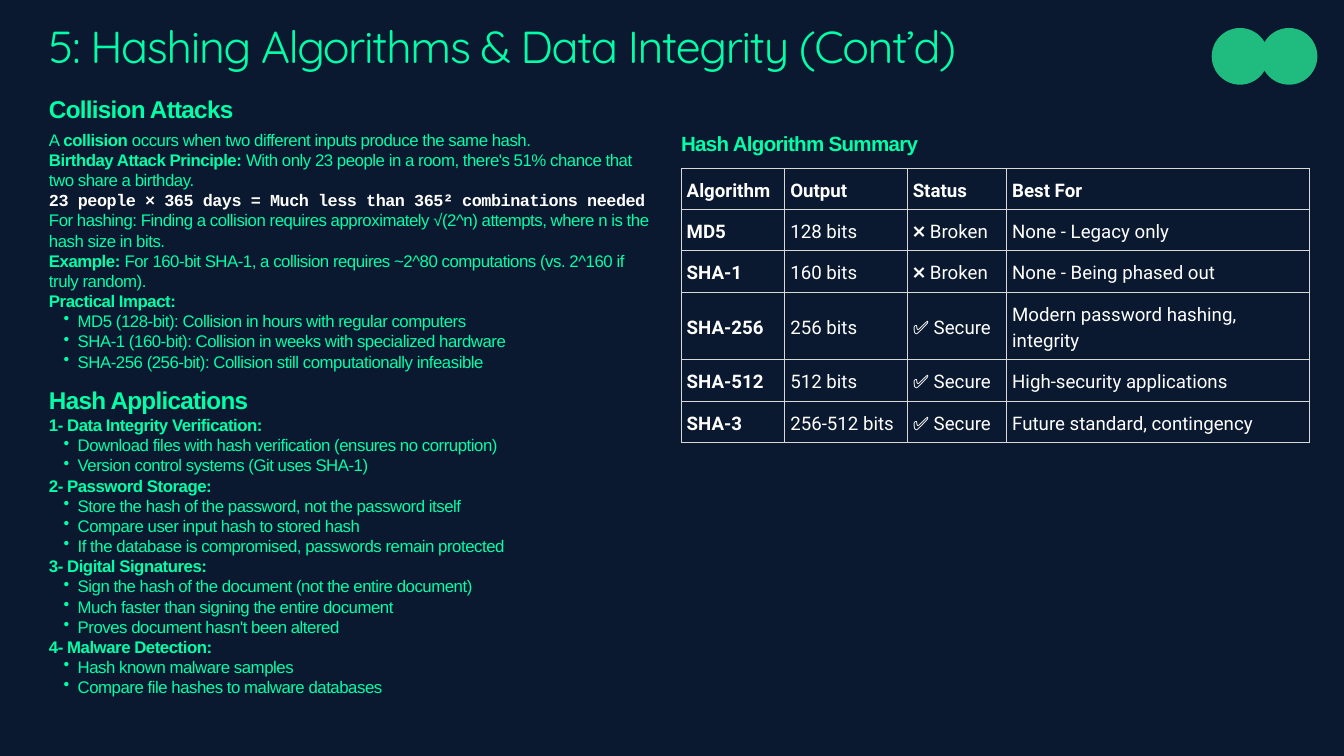
"""Build the slide on hash collisions, hash applications and hash algorithms."""
from dataclasses import dataclass, replace

from lxml.etree import SubElement
from pptx import Presentation
from pptx.dml.color import RGBColor
from pptx.enum.shapes import MSO_SHAPE as Shape
from pptx.enum.text import MSO_ANCHOR as Anchor, MSO_AUTO_SIZE as AutoSize, PP_ALIGN as Align
from pptx.oxml.ns import qn
from pptx.util import Pt

TITLE = [("title", "5: Hashing Algorithms & Data Integrity (Cont’d)")]
COLLISION_HEADING = [("heading", "Collision Attacks")]
COLLISIONS = [
    ("body", "A **collision** occurs when two different inputs produce the same hash."),
    ("body", "**Birthday Attack Principle:** With only 23 people in a room, "
             "there's 51% chance that two share a birthday."),
    ("formula", "23 people × 365 days = Much less than 365² combinations needed"),
    ("body", "For hashing: Finding a collision requires approximately √(2^n) attempts, "
             "where n is the hash size in bits."),
    ("body", "**Example:** For 160-bit SHA-1, a collision requires ~2^80 computations "
             "(vs. 2^160 if truly random)."),
    ("body", "**Practical Impact:**"),
    ("bullet", "MD5 (128-bit): Collision in hours with regular computers"),
    ("bullet", "SHA-1 (160-bit): Collision in weeks with specialized hardware"),
    ("bullet", "SHA-256 (256-bit): Collision still computationally infeasible"),
]
APPLICATIONS = {
    "Data Integrity Verification": [
        "Download files with hash verification (ensures no corruption)",
        "Version control systems (Git uses SHA-1)",
    ],
    "Password Storage": [
        "Store the hash of the password, not the password itself",
        "Compare user input hash to stored hash",
        "If the database is compromised, passwords remain protected",
    ],
    "Digital Signatures": [
        "Sign the hash of the document (not the entire document)",
        "Much faster than signing the entire document",
        "Proves document hasn't been altered",
    ],
    "Malware Detection": [
        "Hash known malware samples",
        "Compare file hashes to malware databases",
    ],
}
SUMMARY_HEADING = [("subheading", "Hash Algorithm Summary")]
SUMMARY = [
    ("Algorithm", "Output", "Status", "Best For"),
    ("MD5", "128 bits", "❌ Broken", "None - Legacy only"),
    ("SHA-1", "160 bits", "❌ Broken", "None - Being phased out"),
    ("SHA-256", "256 bits", "✅ Secure", "Modern password hashing, integrity"),
    ("SHA-512", "512 bits", "✅ Secure", "High-security applications"),
    ("SHA-3", "256-512 bits", "✅ Secure", "Future standard, contingency"),
]


@dataclass(frozen=True)
class Style:
    name: str
    size: float
    line: float
    color: str
    tracking: int = 0
    bold: bool = False
    bullet: bool = False
    align: Align = Align.LEFT


class Theme:
    navy, mint, green, white, grid = "0A192F", "00FFA8", "1FBB7F", "FFFFFF", "D9D9D9"
    heading = Style("Arial", 26, 39, mint, -80, bold=True)
    body = Style("Arial", 18, 21.6, mint, -50)
    cell = Style("Roboto", 20, 28, white)
    styles = {
        "title": Style("Quicksand", 48, 48, mint, -140, align=Align.JUSTIFY),
        "heading": heading,
        "tight heading": replace(heading, line=31.2),
        "subheading": Style("Arial", 22, 33, mint, -70, bold=True),
        "body": body,
        "bullet": replace(body, bullet=True),
        "formula": replace(body, name="Courier New", color=white, bold=True),
        "cell": cell,
        "cell label": replace(cell, bold=True),
    }


PX = 9525
SLIDE_W, SLIDE_H = 1920, 1080
LEFT, RIGHT = 70, 973
BULLET_LEFT, BULLET_HANG = 41, 20
CIRCLE_LEFT, CIRCLE_TOP, CIRCLE_SIZE, CIRCLE_STEP = 1731, 40, 81, 70
TABLE_TOP, CELL_INSET, GRID_PT = 240, 8, 0.75
COLUMNS = (148, 175, 142, 432)
ROWS = (59, 59, 59, 97, 59, 59)
SIDES = ("margin_left", "margin_top", "margin_right", "margin_bottom")


def px(*lengths):
    return [length * PX for length in lengths]


def apply(target, values):
    for key, value in values.items():
        setattr(target, key, value)


def write(frame, paragraphs):
    for index, (style_name, text) in enumerate(paragraphs):
        style = Theme.styles[style_name]
        paragraph = frame.add_paragraph() if index else frame.paragraphs[0]
        apply(paragraph, {"line_spacing": Pt(style.line), "alignment": style.align})
        if style.bullet:
            paragraph.level = 1
            properties = paragraph._p.get_or_add_pPr()
            properties.set("marL", str(BULLET_LEFT * PX))
            properties.set("indent", str(-BULLET_HANG * PX))
            SubElement(properties, qn("a:buChar"), char="•")
        for part, words in enumerate(text.split("**")):
            if not words:
                continue
            run = paragraph.add_run()
            run.text = words
            apply(run.font, {"name": style.name, "size": Pt(style.size),
                             "bold": style.bold or part % 2 == 1})
            run.font.color.rgb = RGBColor.from_string(style.color)
            run._r.get_or_add_rPr().set("spc", str(style.tracking))


def add_text(slide, box, paragraphs):
    frame = slide.shapes.add_textbox(*px(*box)).text_frame
    apply(frame, {"word_wrap": True, "auto_size": AutoSize.SHAPE_TO_FIT_TEXT,
                  **dict.fromkeys(SIDES, 0)})
    write(frame, paragraphs)


def add_circles(slide):
    for step in range(2):
        circle = slide.shapes.add_shape(Shape.OVAL, *px(
            CIRCLE_LEFT + step * CIRCLE_STEP, CIRCLE_TOP, CIRCLE_SIZE, CIRCLE_SIZE))
        circle.shadow.inherit = False
        circle.fill.solid()
        circle.fill.fore_color.rgb = RGBColor.from_string(Theme.green)
        circle.line.fill.background()


def outline(cell):
    properties = cell._tc.get_or_add_tcPr()
    for edge in ("lnL", "lnR", "lnT", "lnB"):
        line = SubElement(properties, qn(f"a:{edge}"), w=str(Pt(GRID_PT)))
        SubElement(SubElement(line, qn("a:solidFill")), qn("a:srgbClr"), val=Theme.grid)


def add_summary(slide):
    table = slide.shapes.add_table(len(ROWS), len(COLUMNS), *px(
        RIGHT, TABLE_TOP, sum(COLUMNS), sum(ROWS))).table
    apply(table, {"first_row": False, "horz_banding": False})
    for column, width in zip(table.columns, COLUMNS):
        column.width = width * PX
    for r, (row, height) in enumerate(zip(SUMMARY, ROWS)):
        table.rows[r].height = height * PX
        for c, text in enumerate(row):
            cell = table.cell(r, c)
            apply(cell, {"vertical_anchor": Anchor.MIDDLE,
                         **dict.fromkeys(SIDES, CELL_INSET * PX)})
            outline(cell)
            cell.fill.background()
            write(cell.text_frame, [("cell" if r and c else "cell label", text)])


def application_paragraphs():
    paragraphs = [("tight heading", "Hash Applications")]
    for number, (use, points) in enumerate(APPLICATIONS.items(), 1):
        paragraphs.append(("body", f"**{number}- {use}:**"))
        paragraphs += [("bullet", point) for point in points]
    return paragraphs


def main():
    deck = Presentation()
    deck.slide_width, deck.slide_height = px(SLIDE_W, SLIDE_H)
    slide = deck.slides.add_slide(deck.slide_layouts[6])
    slide.background.fill.solid()
    slide.background.fill.fore_color.rgb = RGBColor.from_string(Theme.navy)
    add_circles(slide)
    for box, paragraphs in (
        ((LEFT, 185, 861, 336), COLLISIONS),
        ((LEFT, 39, 1761, 78), TITLE),
        ((LEFT, 124, 872, 48), COLLISION_HEADING),
        ((RIGHT, 179, 872, 42), SUMMARY_HEADING),
        ((LEFT, 551, 903, 433), application_paragraphs()),
    ):
        add_text(slide, box, paragraphs)
    add_summary(slide)
    deck.save("out.pptx")


if __name__ == "__main__":
    main()
